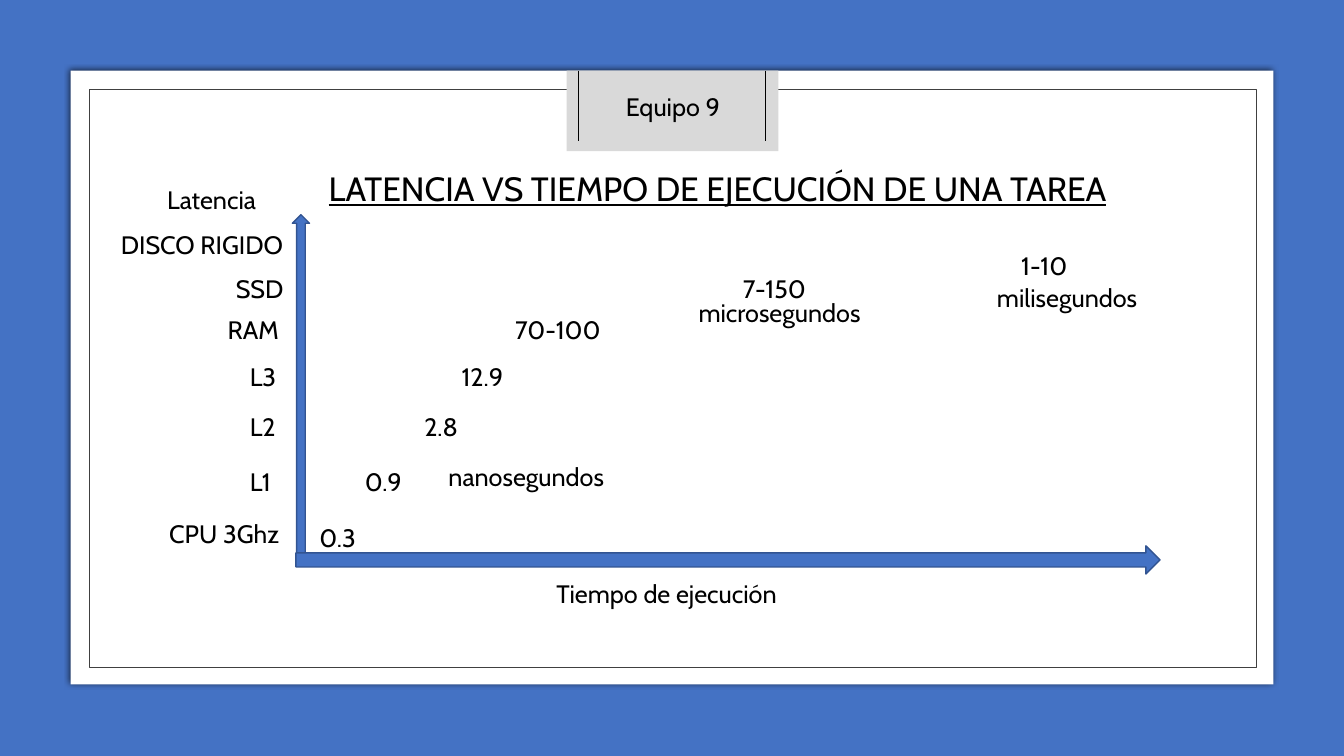
from dataclasses import dataclass

from lxml import etree
from pptx import Presentation
from pptx.dml.color import RGBColor
from pptx.enum.shapes import MSO_CONNECTOR, MSO_SHAPE
from pptx.enum.text import MSO_ANCHOR, MSO_AUTO_SIZE, PP_ALIGN
from pptx.oxml.ns import qn
from pptx.shapes.autoshape import Shape
from pptx.slide import Slide
from pptx.text.text import TextFrame
from pptx.util import Inches, Pt

RECT = MSO_SHAPE.RECTANGLE
ARROW = MSO_SHAPE.UP_ARROW
LINE = MSO_CONNECTOR.STRAIGHT
TOP = MSO_ANCHOR.TOP
LEFT = PP_ALIGN.LEFT
GROW = MSO_AUTO_SIZE.SHAPE_TO_FIT_TEXT

FONT = "Cabin"
HEX = {
    "blue": "4472C4",
    "navy": "325491",
    "white": "FFFFFF",
    "gray": "D9D9D9",
    "dark": "404040",
    "black": "000000",
}


@dataclass
class Box:
    left: float
    top: float
    width: float
    height: float
    fill: str
    line: str = ""
    weight: float = 0
    kind: MSO_SHAPE = RECT
    turn: float = 0
    glow: bool = False


@dataclass
class Label:
    text: str
    left: float
    top: float
    width: float
    height: float = 0.4


@dataclass
class Level:
    name: str
    left: float
    width: float
    top: float
    value: Label


FRAME = [
    Box(0, 0, 13.33, 7.5, "blue"),
    Box(0.7, 0.7, 11.93, 6.09, "white", glow=True),
    Box(0.89, 0.89, 11.57, 5.73, "white", "dark", 0.5),
    Box(5.62, 0.7, 2.1, 0.8, "gray"),
]
AXES = [
    Box(2.9, 2.13, 0.17, 3.48, "blue", "navy", 1, ARROW),
    Box(7.08, 1.27, 0.28, 8.57, "blue", "navy", 1, ARROW, 90),
]
LEVELS = [
    Level("DISCO RIGIDO", 1.1, 2.86, 2.23, Label("1-10", 10.03, 2.43, 0.85)),
    Level("SSD", 2.24, 0.74, 2.66, Label("7-150", 7.27, 2.66, 0.85)),
    Level("RAM", 2.16, 0.74, 3.07, Label("70-100", 5.01, 3.07, 1.22)),
    Level("L3", 2.38, 0.74, 3.54, Label("12.9", 4.48, 3.54, 0.77)),
    Level("L2", 2.38, 0.74, 4.03, Label("2.8", 4.11, 4.03, 0.59)),
    Level("L1", 2.38, 0.74, 4.58, Label("0.9", 3.52, 4.58, 0.59)),
    Level("CPU 3Ghz", 1.58, 1.45, 5.09, Label("0.3", 3.07, 5.13, 0.59)),
]
NOTES = [
    Label("Latencia", 1.56, 1.78, 1.48),
    Label("Tiempo de ejecución", 5.42, 5.69, 2.91, 0.42),
    Label("nanosegundos", 4.35, 4.53, 3),
    Label("microsegundos", 6.83, 2.9, 3),
    Label("milisegundos", 9.79, 2.75, 3),
    Label("Equipo 9", 6.11, 0.86, 1.21),
]
TITLE = Label("LATENCIA VS TIEMPO DE EJECUCIÓN DE UNA TAREA", 3.16, 1.62, 8.92, 0.5)


def color(name: str) -> RGBColor:
    return RGBColor.from_string(HEX[name])


def add_glow(shape: Shape) -> None:
    effects = shape.element.spPr.find(qn("a:effectLst"))
    shade = etree.SubElement(effects, qn("a:outerShdw"), blurRad=str(Pt(4)), dist="0", dir="0")
    tint = etree.SubElement(shade, qn("a:srgbClr"), val=HEX["black"])
    etree.SubElement(tint, qn("a:alpha"), val="66000")


def add_box(slide: Slide, box: Box) -> None:
    shape = slide.shapes.add_shape(
        box.kind, Inches(box.left), Inches(box.top), Inches(box.width), Inches(box.height)
    )
    shape.rotation = box.turn
    shape.fill.solid()
    shape.fill.fore_color.rgb = color(box.fill)
    if box.line:
        shape.line.color.rgb = color(box.line)
        shape.line.width = Pt(box.weight)
    else:
        shape.line.fill.background()
    shape.shadow.inherit = False
    if box.glow:
        add_glow(shape)


def add_rule(slide: Slide, x: float) -> None:
    rule = slide.shapes.add_connector(LINE, Inches(x), Inches(0.7), Inches(x), Inches(1.4))
    rule.line.color.rgb = color("black")
    rule.line.width = Pt(0.5)
    etree.SubElement(rule.element.spPr, qn("a:effectLst"))


def write(frame: TextFrame, text: str, size: float, under: bool = False) -> None:
    frame.word_wrap = True
    frame.auto_size = GROW
    frame.vertical_anchor = TOP
    para = frame.paragraphs[0]
    para.alignment = LEFT
    para.line_spacing = 1.0
    para.space_before = Pt(0)
    run = para.add_run()
    run.text = text
    run.font.name = FONT
    run.font.size = Pt(size)
    run.font.color.rgb = color("black")
    if under:
        run.font.underline = True


def add_label(slide: Slide, label: Label) -> None:
    box = slide.shapes.add_textbox(
        Inches(label.left), Inches(label.top), Inches(label.width), Inches(label.height)
    )
    write(box.text_frame, label.text, 18)


def set_title(slide: Slide) -> None:
    title = slide.shapes.title
    title.left, title.top = Inches(TITLE.left), Inches(TITLE.top)
    title.width, title.height = Inches(TITLE.width), Inches(TITLE.height)
    write(title.text_frame, TITLE.text, 24, under=True)
    # Bring the title in front of the card
    slide.shapes[-1].element.addnext(title.element)


def main() -> None:
    deck = Presentation()
    deck.slide_width, deck.slide_height = Inches(13.33), Inches(7.5)
    slide = deck.slides.add_slide(deck.slide_layouts[5])

    # Card and tab
    for box in FRAME:
        add_box(slide, box)
    for x in (5.74, 7.59):
        add_rule(slide, x)
    set_title(slide)

    # Axes
    for axis in AXES:
        add_box(slide, axis)

    # Memory levels with their latencies
    for level in LEVELS:
        add_label(slide, Label(level.name, level.left, level.top, level.width))
        add_label(slide, level.value)

    # Units, axis names and team
    for note in NOTES:
        add_label(slide, note)

    deck.save("out.pptx")


if __name__ == "__main__":
    main()
